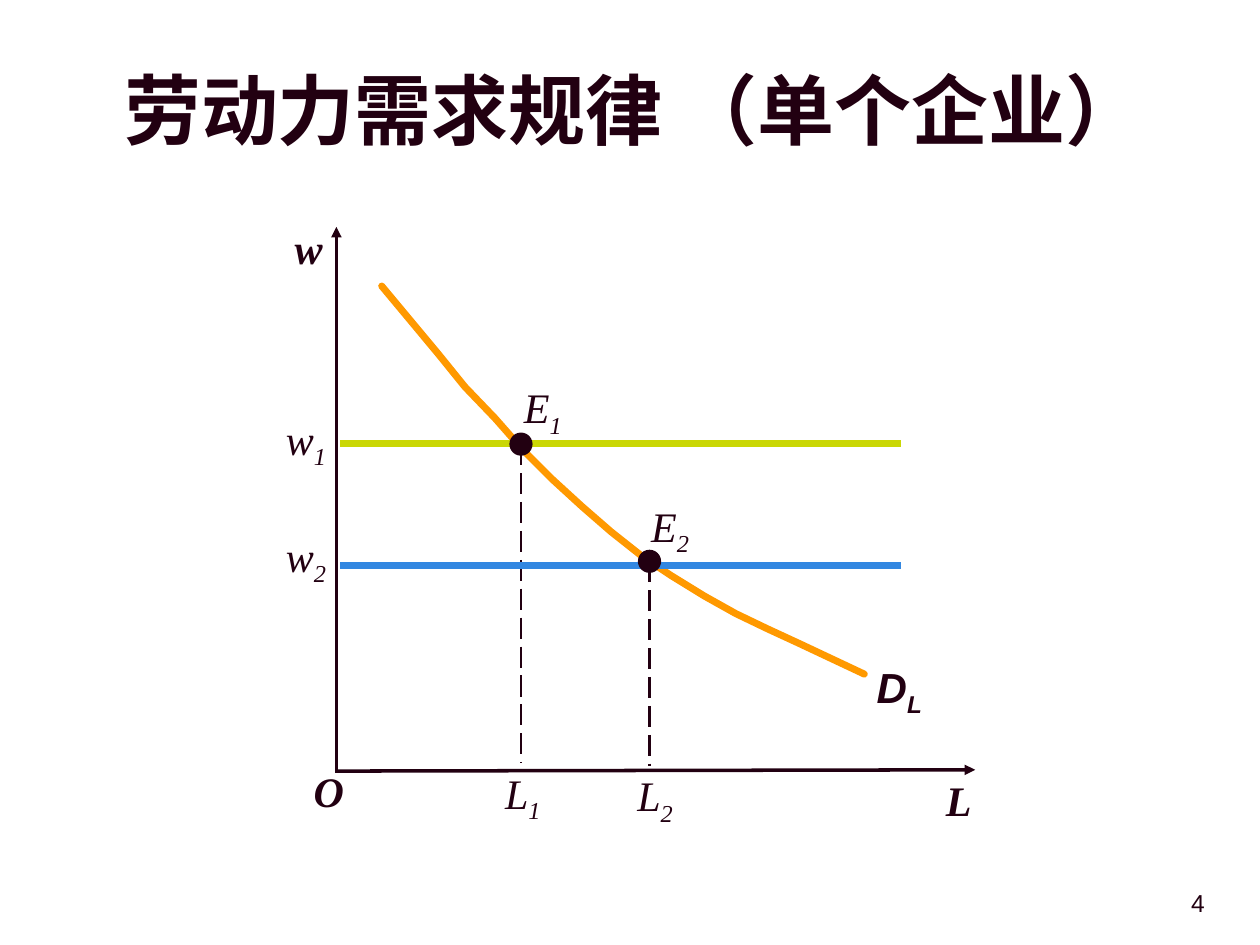
from typing import NamedTuple

from lxml.etree import SubElement
from pptx import Presentation
from pptx.dml.color import RGBColor
from pptx.enum.dml import MSO_LINE_DASH_STYLE as Dash
from pptx.enum.shapes import MSO_CONNECTOR, MSO_SHAPE
from pptx.enum.text import MSO_ANCHOR as Anchor, PP_ALIGN as Align
from pptx.oxml.ns import qn
from pptx.util import Emu, Inches, Pt

COLORS = {"ink": "220011", "demand": "FF9900", "high": "CAD704", "low": "3287E1"}
SERIF, SANS, HAN = "Times New Roman", "Arial", "Noto Sans CJK SC"
COLUMNS, ROWS = 100, 75
SLIDE_WIDTH, SLIDE_HEIGHT = Inches(10), Inches(7.5)
DOT = 1.7
WAGE_START, WAGE_END = 27, 71.5
DEMAND = [(30.3, 22.7), (34.8, 28.1), (36.9, 30.7), (39.3, 33.2), (41.5, 35.7),
          (43.8, 38), (46.2, 40.2), (48.5, 42.2), (50.9, 44.1), (53.3, 45.7),
          (55.9, 47.3), (58.4, 48.7), (60.9, 49.9), (63.5, 51.1), (68.6, 53.5)]


class Label(NamedTuple):
    text: str
    left: float
    top: float
    width: float
    height: float = 5
    sub: str = ""
    font: str = SERIF
    size: int = 24
    bold: bool = False
    italic: bool = True
    align: Align = Align.LEFT
    anchor: Anchor = Anchor.TOP
    wrap: bool = False
    before: float = 0


class Line(NamedTuple):
    start: tuple[float, float]
    end: tuple[float, float]
    color: str = "ink"
    width: float = 2
    dash: Dash | None = None
    arrow: bool = False


class Equilibrium(NamedTuple):
    number: str
    wage_row: float
    wage_label_top: float
    wage_color: str
    dot_center: tuple[float, float]
    point_label: tuple[float, float]
    labor_label: tuple[float, float]
    foot: float


AXES = [
    Line((26.7, 61.2), (26.7, 18), arrow=True),
    Line((26.6, 61.2), (77.4, 61.1), arrow=True),
]
LABELS = [
    Label("劳动力需求规律 （单个企业）", 5.3, 3.2, 90, 10.8, font=HAN, size=44, bold=True,
          italic=False, align=Align.CENTER, anchor=Anchor.MIDDLE, wrap=True),
    Label("L", 74.1, 61, 4, bold=True),
    Label("w", 22.4, 17.2, 4.2, bold=True),
    Label("O", 23.9, 60.3, 4.4, bold=True),
    Label("D", 68.6, 52, 5.6, 5.5, sub="L", font=SANS, bold=True),
    Label("4", 75.8, 70, 20.8, font=SANS, size=14, italic=False,
          align=Align.RIGHT, wrap=True, before=8.8),
]
EQUILIBRIA = [
    Equilibrium("1", 35.2, 32.3, "high", (41.35, 35.25), (40.6, 29.8), (39.1, 60.4), 60.5),
    Equilibrium("2", 44.9, 41.6, "low", (51.55, 44.55), (50.7, 39.2), (49.6, 60.6), 60.8),
]


def col(count: float) -> Emu:
    return Emu(round(SLIDE_WIDTH * count / COLUMNS))


def row(count: float) -> Emu:
    return Emu(round(SLIDE_HEIGHT * count / ROWS))


def rgb(name: str) -> RGBColor:
    return RGBColor.from_string(COLORS[name])


def add_label(shapes, label: Label) -> None:
    box = shapes.add_textbox(col(label.left), row(label.top), col(label.width), row(label.height))
    frame = box.text_frame
    frame.word_wrap, frame.vertical_anchor = label.wrap, label.anchor
    paragraph = frame.paragraphs[0]
    paragraph.alignment, paragraph.space_before = label.align, Pt(label.before)
    look = {"name": label.font, "size": Pt(label.size), "bold": label.bold, "italic": label.italic}
    for text in filter(None, (label.text, label.sub)):
        run = paragraph.add_run()
        run.text = text
        for attribute, value in look.items():
            setattr(run.font, attribute, value)
        run.font.color.rgb = rgb("ink")
        properties = run._r.get_or_add_rPr()
        SubElement(properties, qn("a:ea"), typeface=label.font)
        if text is label.sub:
            properties.set("baseline", "-25000")


def add_line(shapes, line: Line) -> None:
    (x1, y1), (x2, y2) = line.start, line.end
    connector = shapes.add_connector(MSO_CONNECTOR.STRAIGHT, col(x1), row(y1), col(x2), row(y2))
    connector.line.color.rgb = rgb(line.color)
    connector.line.width = Pt(line.width)
    if line.dash:
        connector.line.dash_style = line.dash
    if line.arrow:
        SubElement(connector.line._get_or_add_ln(), qn("a:tailEnd"), type="triangle")
    SubElement(connector._element.spPr, qn("a:effectLst"))


def add_demand_curve(shapes) -> None:
    start, *rest = [(col(x), row(y)) for x, y in DEMAND]
    builder = shapes.build_freeform(*start)
    builder.add_line_segments(rest, close=False)
    curve = builder.convert_to_shape()
    curve.shadow.inherit = False
    curve.fill.background()
    curve.line.color.rgb = rgb("demand")
    curve.line.width = Pt(4)
    outline = curve.line._get_or_add_ln()
    outline.set("cap", "rnd")
    SubElement(outline, qn("a:round"))


def add_dot(shapes, x: float, y: float) -> None:
    dot = shapes.add_shape(MSO_SHAPE.OVAL, col(x - DOT / 2), row(y - DOT / 2), col(DOT), row(DOT))
    dot.shadow.inherit = False
    dot.fill.solid()
    dot.fill.fore_color.rgb = dot.line.color.rgb = rgb("ink")
    dot.line.width = Pt(1)


def add_equilibrium(shapes, point: Equilibrium) -> None:
    x, y = point.dot_center
    add_line(shapes, Line((WAGE_START, point.wage_row), (WAGE_END, point.wage_row),
                          point.wage_color, 4))
    add_line(shapes, Line((x, y), (x, point.foot), width=1.5, dash=Dash.LONG_DASH))
    add_dot(shapes, x, y)
    for text, place, width in (("w", (21.7, point.wage_label_top), 5.2),
                               ("E", point.point_label, 5),
                               ("L", point.labor_label, 4.8)):
        add_label(shapes, Label(text, *place, width, 5.5, sub=point.number))


def main() -> None:
    deck = Presentation()
    deck.slide_width, deck.slide_height = SLIDE_WIDTH, SLIDE_HEIGHT
    shapes = deck.slides.add_slide(deck.slide_layouts[6]).shapes
    for axis in AXES:
        add_line(shapes, axis)
    for label in LABELS:
        add_label(shapes, label)
    add_demand_curve(shapes)
    for point in EQUILIBRIA:
        add_equilibrium(shapes, point)
    deck.save("out.pptx")


if __name__ == "__main__":
    main()
